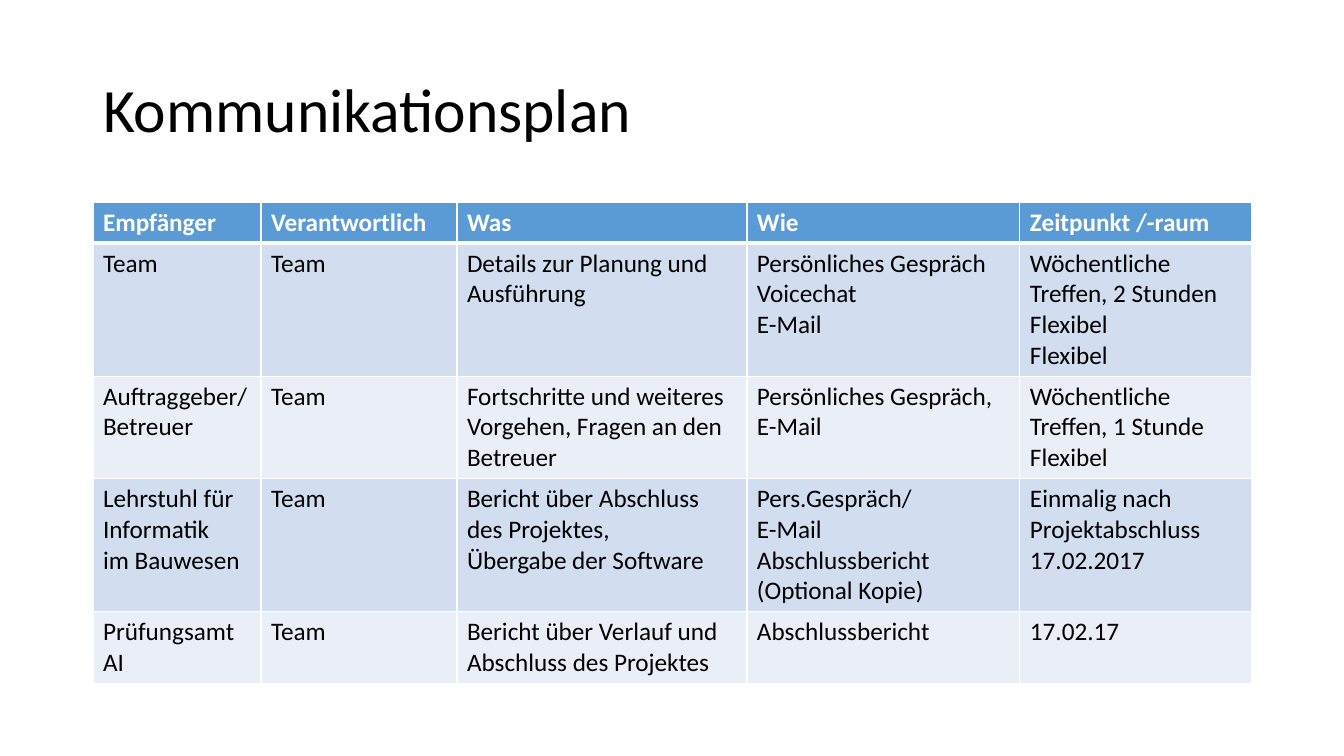
"""Build the communication plan slide with its table of recipients."""
from lxml.etree import SubElement
from pptx import Presentation
from pptx.dml.color import RGBColor
from pptx.enum.text import MSO_ANCHOR as Anchor, MSO_AUTO_SIZE as AutoSize, PP_ALIGN as Align
from pptx.oxml.ns import qn
from pptx.util import Emu, Pt

EMU_PER_PX = 914400 / 100.8
FONT = "Calibri"
COLORS = {
    "black": "000000",
    "white": "FFFFFF",
    "header": "5B9BD5",
    "odd_row": "D2DEEF",
    "even_row": "EAEFF7",
}
COLUMN_WIDTHS = [168, 196, 290, 273, 232]
ROW_HEIGHT = 41
PLAN = [
    ["Empfänger", "Verantwortlich", "Was", "Wie", "Zeitpunkt /-raum"],
    [
        "Team",
        "Team",
        "Details zur Planung und\nAusführung",
        "Persönliches Gespräch\nVoicechat\nE-Mail",
        "Wöchentliche Treffen, 2 Stunden\nFlexibel\nFlexibel",
    ],
    [
        "Auftraggeber/Betreuer",
        "Team",
        "Fortschritte und weiteres\nVorgehen, Fragen an den\nBetreuer",
        "Persönliches Gespräch,\nE-Mail",
        "Wöchentliche Treffen, 1 Stunde\nFlexibel",
    ],
    [
        "Lehrstuhl für Informatik\nim Bauwesen",
        "Team",
        "Bericht über Abschluss des Projektes,\nÜbergabe der Software",
        "Pers.Gespräch/\nE-Mail\nAbschlussbericht (Optional Kopie)",
        "Einmalig nach Projektabschluss\n17.02.2017",
    ],
    [
        "Prüfungsamt AI",
        "Team",
        "Bericht über Verlauf und\nAbschluss des Projektes",
        "Abschlussbericht",
        "17.02.17",
    ],
]


def px(length):
    return Emu(round(length * EMU_PER_PX))


def color(name):
    return RGBColor.from_string(COLORS[name])


def set_attributes(target, values):
    for name, value in values.items():
        setattr(target, name, value)


def write_text(frame, text, color_name, **font_values):
    frame.text = text
    for para in frame.paragraphs:
        for span in para.runs:
            set_attributes(span.font, {"name": FONT, **font_values})
            span.font.color.rgb = color(color_name)


def add_title(page, text):
    title = page.shapes.title
    set_attributes(title, {"left": px(93), "top": px(40), "width": px(1159), "height": px(146)})
    frame = title.text_frame
    write_text(frame, text, "black", size=Pt(44))
    set_attributes(frame, {
        "vertical_anchor": Anchor.MIDDLE, "auto_size": AutoSize.NONE, "word_wrap": True,
    })
    set_attributes(frame.paragraphs[0], {"alignment": Align.LEFT, "line_spacing": 0.9})


def set_borders(cell, widths):
    properties = cell._tc.get_or_add_tcPr()
    for side, width in widths.items():
        line = SubElement(properties, qn(f"a:ln{side}"), w=str(Pt(width)))
        fill = SubElement(line, qn("a:solidFill"))
        SubElement(fill, qn("a:srgbClr"), val=COLORS["white"])


def format_cell(cell, text, row):
    is_header = row == 0
    fill_name = "header" if is_header else ("even_row", "odd_row")[row % 2]
    text_color = "white" if is_header else "black"
    write_text(cell.text_frame, text, text_color, size=Pt(18), bold=is_header)
    set_borders(cell, {"L": 1, "R": 1, "T": 3 if row == 1 else 1, "B": 3 if is_header else 1})
    cell.fill.solid()
    cell.fill.fore_color.rgb = color(fill_name)


def add_plan_table(page, plan):
    table_frame = page.shapes.add_table(
        len(plan), len(COLUMN_WIDTHS), px(93), px(202), px(sum(COLUMN_WIDTHS)), px(475)
    )
    table = table_frame.table
    for column, width in zip(table.columns, COLUMN_WIDTHS):
        column.width = px(width)
    for row, texts in enumerate(plan):
        table.rows[row].height = px(ROW_HEIGHT)
        for column, text in enumerate(texts):
            format_cell(table.cell(row, column), text, row)
    table_frame.height = px(475)


def main():
    deck = Presentation()
    set_attributes(deck, {"slide_width": px(1344), "slide_height": px(756)})
    page = deck.slides.add_slide(deck.slide_layouts[5])
    add_title(page, "Kommunikationsplan")
    add_plan_table(page, PLAN)
    deck.save("out.pptx")


if __name__ == "__main__":
    main()
